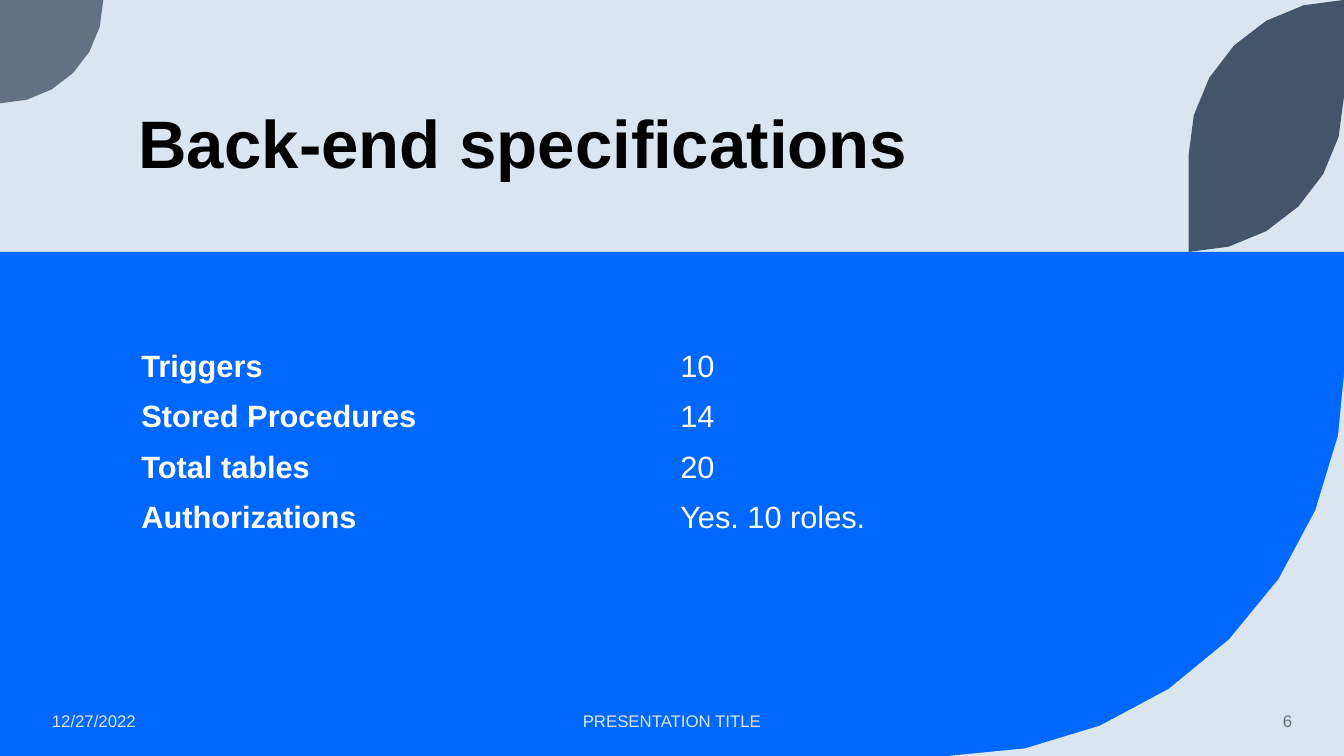
from dataclasses import dataclass
from math import cos, radians, sin

from pptx import Presentation
from pptx.dml.color import RGBColor
from pptx.enum.shapes import MSO_SHAPE
from pptx.enum.text import MSO_ANCHOR, PP_ALIGN
from pptx.oxml.ns import qn
from pptx.util import Inches, Pt

# The slide is a grid of 16 columns by 9 rows of square cells
COLS, ROWS = 16, 9
CELL = 7.5 / ROWS
EDGE = 16.02  # right edge of the blue panel
PLAIN = "{2D5ABB26-0587-4C30-8999-92F81FD0307C}"  # table without style or grid


@dataclass(frozen=True)
class Theme:
    font: str = "Arial"
    pale: str = "DAE5EF"
    blue: str = "0068FF"
    gray: str = "637183"
    slate: str = "44546A"
    black: str = "000000"
    white: str = "FFFFFF"
    title: int = 48
    body: int = 22
    foot: int = 12


THEME = Theme()
FACTS = [
    ("Triggers", "10"),
    ("Stored Procedures", "14"),
    ("Total tables", "20"),
    ("Authorizations", "Yes. 10 roles."),
]


def grid(*cells):
    return [Inches(n * CELL) for n in cells]


def paint(shape, color):
    shape.shadow.inherit = False
    shape.fill.solid()
    shape.fill.fore_color.rgb = RGBColor.from_string(color)
    shape.line.fill.background()


def arc(x, y, r, start, end, steps=6):
    """Points on a circle; angles in degrees, clockwise from the right."""
    turns = [radians(start + (end - start) * i / steps) for i in range(steps + 1)]
    return [(x + r * cos(t), y + r * sin(t)) for t in turns]


def add_form(slide, points, color):
    first, *rest = [grid(*p) for p in points]
    form = slide.shapes.build_freeform(*first)
    form.add_line_segments(rest, close=True)
    paint(form.convert_to_shape(), color)


def add_run(para, text, size, color, bold=False):
    run = para.add_run()
    run.text = text
    font = run.font
    font.name, font.size, font.bold = THEME.font, Pt(size), bold
    font.color.rgb = RGBColor.from_string(color)


def add_text(slide, box, text, size, color, align=PP_ALIGN.LEFT,
             anchor=MSO_ANCHOR.MIDDLE, bold=False, space=1.0):
    frame = slide.shapes.add_textbox(*grid(*box)).text_frame
    frame.word_wrap = True
    frame.vertical_anchor = anchor
    para = frame.paragraphs[0]
    para.alignment, para.line_spacing = align, space
    add_run(para, text, size, color, bold)


def add_facts(slide, box, facts):
    table = slide.shapes.add_table(len(facts), 2, *grid(*box)).table
    table.first_row = table.horz_banding = False
    table._tbl.tblPr.find(qn("a:tableStyleId")).text = PLAIN
    for row, pair in enumerate(facts):
        for col, text in enumerate(pair):
            cell = table.cell(row, col)
            cell.fill.background()
            cell.margin_left = cell.margin_right = Inches(0.12)
            cell.margin_top = cell.margin_bottom = Inches(0.06)
            add_run(cell.text_frame.paragraphs[0], text, THEME.body,
                    THEME.white, bold=col == 0)


def add_decor(slide):
    # Blue panel with a rounded lower right corner
    panel = slide.shapes.add_shape(MSO_SHAPE.RECTANGLE, *grid(0, 3, EDGE, 6))
    paint(panel, THEME.blue)
    r = 4.74
    curve = arc(EDGE - r, ROWS - r, r, 0, 90, steps=8)
    add_form(slide, curve + [(EDGE, ROWS)], THEME.pale)

    # Quarter disc, top left
    add_form(slide, [(0, 0)] + arc(0, 0, 1.23, 0, 90), THEME.gray)

    # Leaf, top right
    r = 1.85
    leaf = arc(COLS, r, r, 270, 180) + arc(COLS - r, 3 - r, r, 90, 0)
    add_form(slide, leaf, THEME.slate)


def main():
    deck = Presentation()
    deck.slide_width, deck.slide_height = grid(COLS, ROWS)
    slide = deck.slides.add_slide(deck.slide_layouts[6])
    back = slide.background.fill
    back.solid()
    back.fore_color.rgb = RGBColor.from_string(THEME.pale)
    add_decor(slide)

    # Title and table
    add_text(slide, (1.53, 0.5, 12.83, 1.74), "Back-end specifications",
             THEME.title, THEME.black, anchor=MSO_ANCHOR.BOTTOM, bold=True, space=0.9)
    add_facts(slide, (1.54, 4.09, 12.83, 0.6 * len(FACTS)), FACTS)

    # Footer
    for left, width, text, color, align in [
        (0.5, 3.6, "12/27/2022", THEME.pale, PP_ALIGN.LEFT),
        (5.3, 5.4, "PRESENTATION TITLE", THEME.pale, PP_ALIGN.CENTER),
        (13.4, 2.1, "6", THEME.gray, PP_ALIGN.RIGHT),
    ]:
        add_text(slide, (left, 8.34, width, 0.48), text, THEME.foot, color, align)

    deck.save("out.pptx")


if __name__ == "__main__":
    main()
